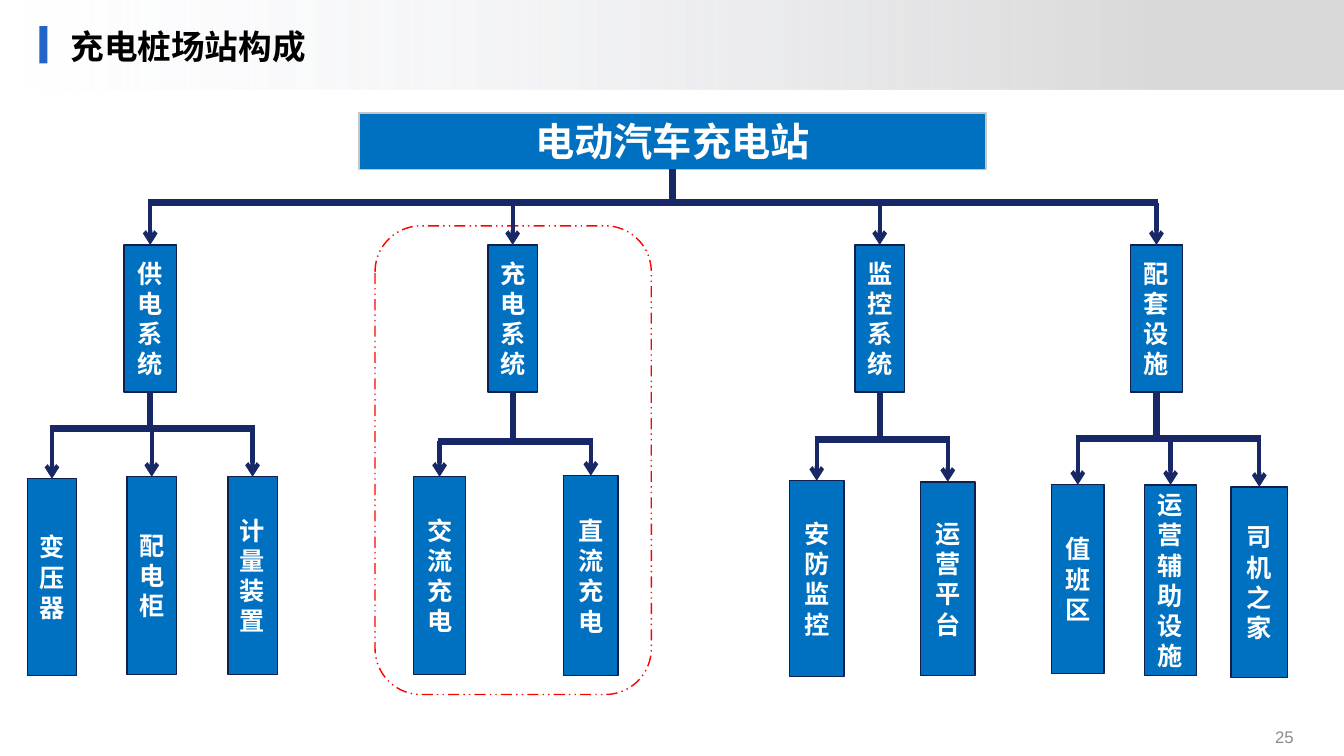
from lxml import etree
from pptx import Presentation
from pptx.dml.color import RGBColor
from pptx.enum.dml import MSO_LINE
from pptx.enum.shapes import MSO_CONNECTOR, MSO_SHAPE
from pptx.enum.text import MSO_ANCHOR, PP_ALIGN
from pptx.oxml.ns import qn
from pptx.util import Inches, Pt

TITLE = "充电桩场站构成"
PAGE = "25"
ROOT = ("电动汽车充电站", (3.56, 1.12, 6.22, 0.56))
ROOT_BUS = 2.01
SYSTEM_TOP, SYSTEM_HEIGHT = 2.43, 1.46
# system, left, width, height of its bus line, parts with (left, top, width, height)
SYSTEMS = [
    ("供电系统", 1.23, 0.52, 4.25, [
        ("变压器", (0.27, 4.75, 0.49, 1.95)),
        ("配电柜", (1.26, 4.73, 0.49, 1.96)),
        ("计量装置", (2.26, 4.73, 0.49, 1.96))]),
    ("充电系统", 4.84, 0.49, 4.38, [
        ("交流充电", (4.1, 4.73, 0.52, 1.96)),
        ("直流充电", (5.59, 4.72, 0.54, 1.98))]),
    ("监控系统", 8.48, 0.49, 4.36, [
        ("安防监控", (7.83, 4.77, 0.54, 1.94)),
        ("运营平台", (9.13, 4.78, 0.54, 1.92))]),
    ("配套设施", 11.21, 0.52, 4.35, [
        ("值班区", (10.43, 4.81, 0.52, 1.87)),
        ("运营辅助设施", (11.35, 4.81, 0.52, 1.89)),
        ("司机之家", (12.21, 4.83, 0.56, 1.89))]),
]

WHITE = RGBColor(0xFF, 0xFF, 0xFF)
BLACK = RGBColor(0, 0, 0)
RED = RGBColor(0xFF, 0, 0)
BLUE = RGBColor(0x00, 0x70, 0xC0)
ACCENT = RGBColor(0x23, 0x64, 0xC8)
NAVY = RGBColor(0x12, 0x1E, 0x4B)
LINE = RGBColor(0x18, 0x28, 0x66)
SILVER = RGBColor(0xC6, 0xC6, 0xC6)
GREY = RGBColor(0x8C, 0x8C, 0x8C)
BAND_START = RGBColor(0xEF, 0xF2, 0xFB)
BAND_END = RGBColor(0xD9, 0xD9, 0xD9)
CJK = "Noto Sans CJK SC"
THICK, THIN = 4.5, 3


def set_text(shape, text, size, color, align, font="Arial", bold=False):
    tf = shape.text_frame
    tf.word_wrap = True
    tf.vertical_anchor = MSO_ANCHOR.MIDDLE
    p = tf.paragraphs[0]
    p.alignment = align
    r = p.add_run()
    r.text = text
    for name, value in {"size": Pt(size), "bold": bold, "name": font}.items():
        setattr(r.font, name, value)
    r.font.color.rgb = color
    etree.SubElement(r.font._element, qn("a:ea"), typeface=CJK)
    return p


def add_block(s, kind, at, fill=None, line=None):
    sp = s.shapes.add_shape(kind, *map(Inches, at))
    sp.shadow.inherit = False
    if fill is not None:
        sp.fill.solid()
        sp.fill.fore_color.rgb = fill
    if line is None:
        sp.line.fill.background()
    else:
        sp.line.color.rgb = line
        sp.line.width = Pt(1)
    return sp


def add_box(s, text, at, size=18, kind=MSO_SHAPE.RECTANGLE, line=NAVY):
    sp = add_block(s, kind, at, BLUE, line)
    set_text(sp, text, size, WHITE, PP_ALIGN.CENTER, CJK, True)
    return sp


def add_line(s, start, end, width):
    c = s.shapes.add_connector(MSO_CONNECTOR.STRAIGHT, *map(Inches, start + end))
    c.line.color.rgb = LINE
    c.line.width = Pt(width)
    etree.SubElement(c._element.spPr, qn("a:effectLst"))
    return c


def link(s, parent, children, bus):
    """Join a box to the boxes below it by a stem, a level bus line and arrows."""
    def middle(box):
        return (box.left + box.width / 2) / Inches(1)

    x = middle(parent)
    add_line(s, (x, bus - 0.3), (x, bus), THICK).begin_connect(parent, 2)
    xs = [middle(child) for child in children]
    add_line(s, (min(xs) - 0.02, bus), (max(xs) + 0.02, bus), THICK)
    for x, child in zip(xs, children):
        c = add_line(s, (x, bus), (x, bus + 0.4), THIN)
        c.end_connect(child, 0)
        etree.SubElement(c.line._get_or_add_ln(), qn("a:tailEnd"), type="arrow")


def add_header(s):
    band = add_block(s, MSO_SHAPE.RECTANGLE, (0, 0, 13.33, 0.89))
    band.fill.gradient()
    band.fill.gradient_angle = 0
    stops = band.fill.gradient_stops
    for stop, color, position in zip(stops, (BAND_START, BAND_END), (0, 0.87)):
        stop.color.rgb = color
        stop.position = position
    clear = band._element.spPr.find(".//" + qn("a:srgbClr"))
    etree.SubElement(clear, qn("a:alpha"), val="0")
    add_block(s, MSO_SHAPE.RECTANGLE, (0.39, 0.26, 0.08, 0.37), ACCENT)

    title = s.shapes.title
    s.shapes.element.append(title.element)  # in front of the band
    box = {"left": 0.6, "top": 0.16, "width": 11.37, "height": 0.64}
    for name, value in box.items():
        setattr(title, name, Inches(value))
    p = set_text(title, TITLE, 24, BLACK, PP_ALIGN.LEFT, bold=True)
    p.line_spacing = 0.9


def main():
    prs = Presentation()
    prs.slide_width, prs.slide_height = Inches(13.33), Inches(7.5)
    s = prs.slides.add_slide(prs.slide_layouts[5])
    add_header(s)

    frame = add_block(s, MSO_SHAPE.ROUNDED_RECTANGLE, (3.72, 2.24, 2.74, 4.65), WHITE, RED)
    frame.line.dash_style = MSO_LINE.DASH_DOT_DOT
    number = s.shapes.add_textbox(*map(Inches, (9.93, 7.12, 3, 0.38)))
    set_text(number, PAGE, 12, GREY, PP_ALIGN.RIGHT)

    root = add_box(s, *ROOT, 28, MSO_SHAPE.FLOWCHART_PROCESS, SILVER)
    systems = []
    for name, left, width, bus, parts in SYSTEMS:
        system = add_box(s, name, (left, SYSTEM_TOP, width, SYSTEM_HEIGHT))
        link(s, system, [add_box(s, *part) for part in parts], bus)
        systems.append(system)
    link(s, root, systems, ROOT_BUS)
    prs.save("out.pptx")


if __name__ == "__main__":
    main()
